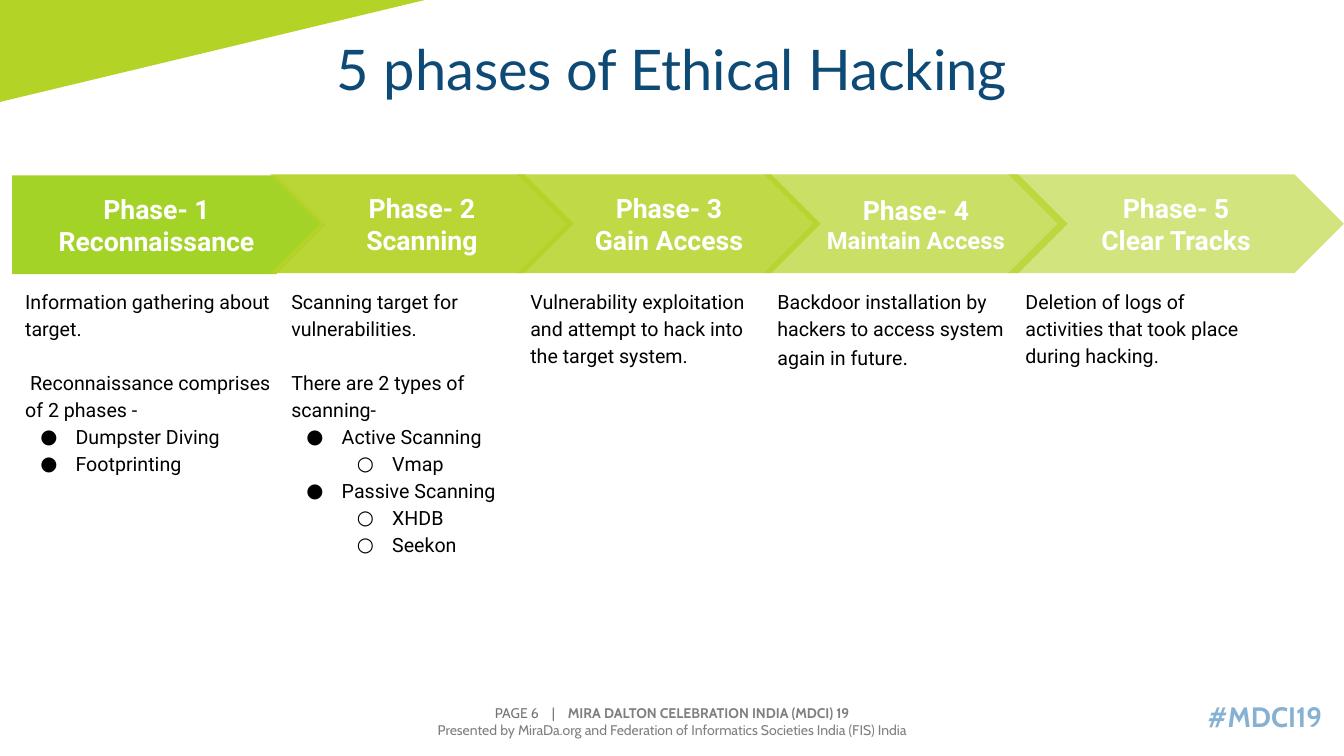
from dataclasses import dataclass

from lxml.etree import SubElement
from pptx import Presentation
from pptx.dml.color import RGBColor
from pptx.enum.shapes import MSO_SHAPE
from pptx.enum.text import MSO_ANCHOR, PP_ALIGN
from pptx.oxml.ns import qn
from pptx.shapes.autoshape import Shape
from pptx.slide import Slide
from pptx.text.text import TextFrame, _Paragraph, _Run
from pptx.util import Inches, Pt

GREEN = "B4D327"
BODY_TOP = 2.71
BLANK_LINE = 19.3
BULLETS = "●○"


@dataclass
class Line:
    text: str
    bullet_level: int | None = None
    space_before: float = 0
    large_ending: str = ""


@dataclass
class Phase:
    number: int
    name: str
    left: float
    width: float
    body_left: float
    body_width: float
    lines: list[Line]
    opacity: int
    color: str = GREEN
    top: float = 1.73
    outline: MSO_SHAPE = MSO_SHAPE.CHEVRON
    name_size: int = 19


# Phase 4 lies in front of phase 5.
PHASES = [
    Phase(1, "Reconnaissance", 0.12, 3.11, 0.12, 2.76, [
        Line("Information gathering about target."),
        Line(" Reconnaissance comprises of 2 phases -", space_before=BLANK_LINE),
        Line("Dumpster Diving", 0),
        Line("Footprinting", 0),
    ], 100, "A4D327", 1.74, MSO_SHAPE.PENTAGON),
    Phase(2, "Scanning", 2.68, 3.01, 2.76, 2.84, [
        Line("Scanning target for vulnerabilities."),
        Line("There are 2 types of scanning-", space_before=BLANK_LINE),
        Line("Active Scanning", 0),
        Line("Vmap", 1),
        Line("Passive Scanning", 0),
        Line("XHDB", 1),
        Line("Seekon", 1),
    ], 93),
    Phase(3, "Gain Access", 5.13, 3.01, 5.13, 2.65, [
        Line("Vulnerability exploitation and attempt to hack into the target system."),
    ], 85),
    Phase(5, "Clear Tracks", 10, 3.33, 10.04, 2.49, [
        Line("Deletion of logs of activities that took place during hacking."),
    ], 60),
    Phase(4, "Maintain Access", 7.58, 3.01, 7.58, 2.72, [
        Line("Backdoor installation by hackers to access system again in future",
             large_ending="."),
    ], 71, name_size=17),
]


def rgb(color: str) -> RGBColor:
    return RGBColor.from_string(color)


def add_run(p: _Paragraph, text: str, size: float, font: str, color: str,
            bold: bool = False) -> _Run:
    r = p.add_run()
    r.text = text
    r.font.size = Pt(size)
    r.font.name = font
    r.font.color.rgb = rgb(color)
    r.font.bold = bold
    return r


def set_insets(tf: TextFrame, x: float, y: float) -> None:
    tf.word_wrap = True
    tf.margin_left = tf.margin_right = Inches(x)
    tf.margin_top = tf.margin_bottom = Inches(y)


def add_text(s: Slide, left: float, top: float, width: float, height: float,
             inset_x: float = 0.1, inset_y: float = 0.05) -> TextFrame:
    box = s.shapes.add_textbox(Inches(left), Inches(top), Inches(width), Inches(height))
    set_insets(box.text_frame, inset_x, inset_y)
    return box.text_frame


def add_filled(s: Slide, outline: MSO_SHAPE, left: float, top: float, width: float,
               height: float, color: str, opacity: int = 100) -> Shape:
    sp = s.shapes.add_shape(outline, Inches(left), Inches(top), Inches(width), Inches(height))
    sp.shadow.inherit = False
    sp.line.fill.background()
    sp.fill.solid()
    sp.fill.fore_color.rgb = rgb(color)
    if opacity < 100:
        fill_color = sp.fill._xPr.find(qn("a:solidFill"))[0]
        SubElement(fill_color, qn("a:alpha"), val=str(opacity * 1000))
    return sp


def set_bullet(p: _Paragraph, level: int) -> None:
    p.level = level
    pPr = p._p.get_or_add_pPr()
    pPr.set("marL", str(Inches(0.5 * (level + 1))))
    pPr.set("indent", str(Inches(-0.35)))
    bullet_color = SubElement(pPr, qn("a:buClr"))
    SubElement(bullet_color, qn("a:srgbClr"), val="000000")
    SubElement(pPr, qn("a:buFont"), typeface="Roboto")
    SubElement(pPr, qn("a:buChar"), char=BULLETS[level])


def add_phase(s: Slide, phase: Phase) -> None:
    arrow = add_filled(s, phase.outline, phase.left, phase.top, phase.width, 0.98,
                       phase.color, phase.opacity)
    arrow.adjustments[0] = 0.5
    tf = arrow.text_frame
    set_insets(tf, 0.13, 0.13)
    tf.vertical_anchor = MSO_ANCHOR.MIDDLE
    labels = [(f"Phase- {phase.number}", 19), (phase.name, phase.name_size)]
    for i, (text, size) in enumerate(labels):
        p = tf.add_paragraph() if i else tf.paragraphs[0]
        p.alignment = PP_ALIGN.CENTER
        add_run(p, text, size, "Roboto", "FFFFFF", bold=True)

    tf = add_text(s, phase.body_left, BODY_TOP, phase.body_width, 3.43, 0.13, 0.13)
    for i, line in enumerate(phase.lines):
        p = tf.add_paragraph() if i else tf.paragraphs[0]
        p.line_spacing = 1.15
        p.space_before = Pt(line.space_before)
        if line.bullet_level is not None:
            set_bullet(p, line.bullet_level)
        add_run(p, line.text, 14, "Roboto", "000000")
        if line.large_ending:
            add_run(p, line.large_ending, 15, "Roboto", "000000")


def add_footer(s: Slide) -> None:
    tf = add_text(s, 0.35, 6.94, 12.63, 0.44)
    p = tf.paragraphs[0]
    p.alignment = PP_ALIGN.CENTER
    add_run(p, "PAGE 6", 10, "Cabin", "747676")
    divider = add_run(p, " |", 10, "Cabin", "747676")
    divider.font._element.set("spc", "700")
    add_run(p, " MIRA DALTON CELEBRATION INDIA (MDCI) 19", 10, "Cabin", "7F7F7F", bold=True)
    p = tf.add_paragraph()
    p.alignment = PP_ALIGN.CENTER
    add_run(p, "Presented by MiraDa.org and Federation of Informatics Societies India (FIS) India",
            10, "Cabin", "7F7F7F")
    tf = add_text(s, 11.88, 6.89, 1.45, 0.44)
    add_run(tf.paragraphs[0], "#MDCI19", 20, "Cabin", "85B1D3", bold=True)


def add_title(s: Slide) -> None:
    tf = add_text(s, 0.35, 0.26, 12.63, 0.81)
    tf.vertical_anchor = MSO_ANCHOR.BOTTOM
    p = tf.paragraphs[0]
    p.alignment = PP_ALIGN.CENTER
    p.line_spacing = 0.9
    add_run(p, "5 phases of Ethical Hacking", 40, "Lato", "0E4A76")


def main() -> None:
    prs = Presentation()
    prs.slide_width, prs.slide_height = Inches(13.33), Inches(7.5)
    s = prs.slides.add_slide(prs.slide_layouts[6])
    add_footer(s)
    corner = add_filled(s, MSO_SHAPE.RIGHT_TRIANGLE, 1.6, -1.62, 1.02, 4.25, GREEN)
    corner.rotation = 90
    add_title(s)
    for phase in PHASES:
        add_phase(s, phase)
    prs.save("out.pptx")


if __name__ == "__main__":
    main()
